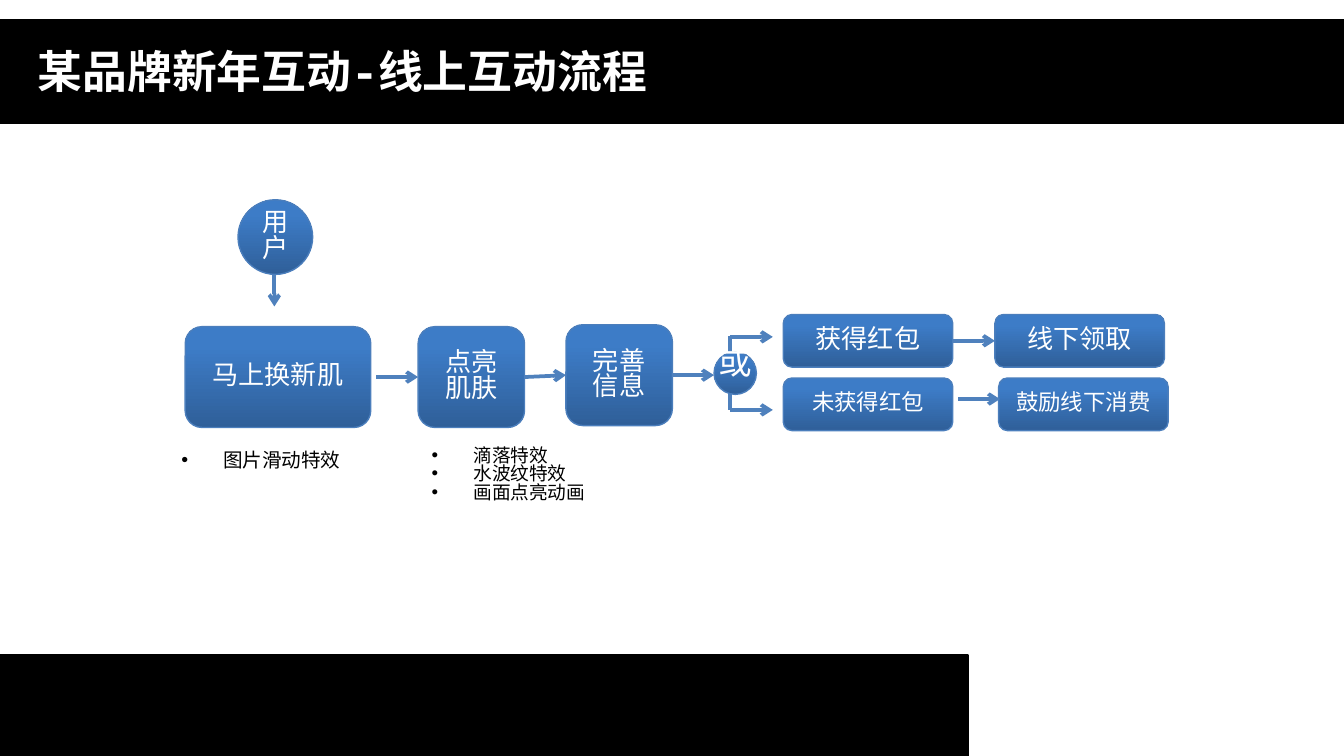
from pptx import Presentation
from pptx.dml.color import RGBColor
from pptx.enum.shapes import MSO_CONNECTOR, MSO_SHAPE
from pptx.enum.text import MSO_ANCHOR, PP_ALIGN
from pptx.oxml.xmlchemy import OxmlElement
from pptx.util import Pt

LINE = MSO_CONNECTOR.STRAIGHT
RECT, ROUND, OVAL = MSO_SHAPE.RECTANGLE, MSO_SHAPE.ROUNDED_RECTANGLE, MSO_SHAPE.OVAL
LEFT, MID, TOP = PP_ALIGN.LEFT, MSO_ANCHOR.MIDDLE, MSO_ANCHOR.TOP
CENTER = PP_ALIGN.CENTER
SANS, MONO = "Noto Sans CJK SC", "Noto Sans Mono"
BLACK, WHITE = "000000", "FFFFFF"


def paint(fill, *tones):
    """One tone gives a solid fill, two give a vertical gradient from the bottom."""
    if len(tones) == 1:
        fill.solid()
        fill.fore_color.rgb = RGBColor.from_string(tones[0])
        return
    fill.gradient()
    fill.gradient_angle = 90
    for stop, tone, place in zip(fill.gradient_stops, tones, (0, 0.8)):
        stop.color.rgb = RGBColor.from_string(tone)
        stop.position = place


def write(shape, text, size=14, font=SANS, color=WHITE, bold=False,
          align=CENTER, anchor=MID, wrap=True, space=0.82, indent=0):
    frame = shape.text_frame
    frame.word_wrap = wrap
    frame.vertical_anchor = anchor
    frame.text = text
    for para in frame.paragraphs:
        para.alignment = align
        para.line_spacing = space
        para.space_before = Pt(0)
        props = para._p.get_or_add_pPr()
        props.set("marL", str(Pt(indent)))
        props.set("indent", str(-Pt(indent)))
        for run in para.runs:
            run.font.size = Pt(size)
            run.font.bold = bold
            run.font.name = font
            paint(run.font.fill, color)
            east = OxmlElement("a:ea")
            east.set("typeface", SANS)
            run.font._element.find("{*}latin").addnext(east)


deck = Presentation()
deck.slide_width, deck.slide_height = Pt(720), Pt(405)
slide = deck.slides.add_slide(deck.slide_layouts[3])
shapes = slide.shapes
title, *lists = slide.placeholders

# Black bars behind the title and at the foot
bars = [(0, 10.8, 720, 55.5, 0.75), (0, 351.4, 518.4, 53.6, 2)]
for spot, (*area, width) in enumerate(bars, 2):
    bar = shapes.add_shape(RECT, *map(Pt, area))
    bar.shadow.inherit = False
    paint(bar.fill, BLACK)
    paint(bar.line.fill, BLACK)
    bar.line.width = Pt(width)
    shapes._spTree.insert(spot, bar._element)

# Title
title.left, title.top, title.width, title.height = map(Pt, (13, 20.2, 636, 35.3))
write(title, "某品牌新年互动-线上互动流程", size=24, font=MONO, bold=True,
      align=LEFT, space=1)

# Effect notes under the steps
notes = [
    ((224, 236.2, 98.6, 43.9), 10, "滴落特效\n水波纹特效\n画面点亮动画"),
    ((90, 238.5, 105, 20.9), 10.5, "图片滑动特效"),
]
for body, (area, size, text) in zip(lists, notes):
    body.left, body.top, body.width, body.height = map(Pt, area)
    write(body, text, size=size, color=BLACK, align=LEFT, anchor=TOP, indent=22.5)

# Flow steps: name, form, left, top, width, height, text size
steps = [
    ("用户", OVAL, 127.5, 107, 40, 40, 14),
    ("马上换新肌", ROUND, 99.2, 175, 99.4, 54, 14),
    ("点亮肌肤", ROUND, 224, 175, 57, 54, 14),
    ("完善信息", ROUND, 303.2, 174, 57, 54, 14),
    ("获得红包", ROUND, 419.6, 168.5, 90.8, 28.2, 14),
    ("线下领取", ROUND, 533, 168.5, 90.8, 28.2, 14),
    ("未获得红包", ROUND, 419.6, 202.5, 90.8, 28.2, 12),
    ("鼓励线下消费", ROUND, 535, 202.5, 90.8, 28.2, 12),
    ("", OVAL, 382.5, 188.6, 22.7, 22.7, 14),
]
nodes = {}
for name, form, *area, size in steps:
    node = shapes.add_shape(form, *map(Pt, area))
    node.shadow.inherit = False
    paint(node.fill, "2F5F99", "3D7CC7")
    paint(node.line.fill, "4B7EBC")
    node.line.width = Pt(0.75)
    if name:
        write(node, name, size=size)
    nodes[name] = node

# Links: start, end, arrowhead, joined start step, joined end step
links = [
    ((201.6, 202), (224, 202), True, None, "点亮肌肤"),
    ((281, 202), (303.2, 202), True, "点亮肌肤", "完善信息"),
    ((360.2, 201), (382.5, 201), True, "完善信息", None),
    ((510.4, 182.6), (533, 182.6), True, "获得红包", "线下领取"),
    ((513.4, 213.8), (535.7, 213.8), True, None, None),
    ((147, 147.5), (147, 164.2), True, None, None),
    ((391, 180), (391, 219.6), False, None, None),
    ((391, 180.5), (414, 180.5), True, None, None),
    ((391, 219.6), (414, 219.6), True, None, None),
]
for start, end, arrow, first, last in links:
    link = shapes.add_connector(LINE, *map(Pt, start + end))
    paint(link.line.fill, "4F81BD")
    link.line.width = Pt(2)
    link._element.spPr.append(OxmlElement("a:effectLst"))
    if arrow:
        tail = OxmlElement("a:tailEnd")
        tail.set("type", "arrow")
        link.line._get_or_add_ln().append(tail)
    if first:
        link.begin_connect(nodes[first], 3)
    if last:
        link.end_connect(nodes[last], 1)

# The fork's circle lies above its branches
shapes._spTree.append(nodes[""]._element)
label = shapes.add_textbox(*map(Pt, (378, 182.9, 32.4, 28.8)))
write(label, "或", size=18, align=LEFT, anchor=TOP, wrap=False)

deck.save("out.pptx")
